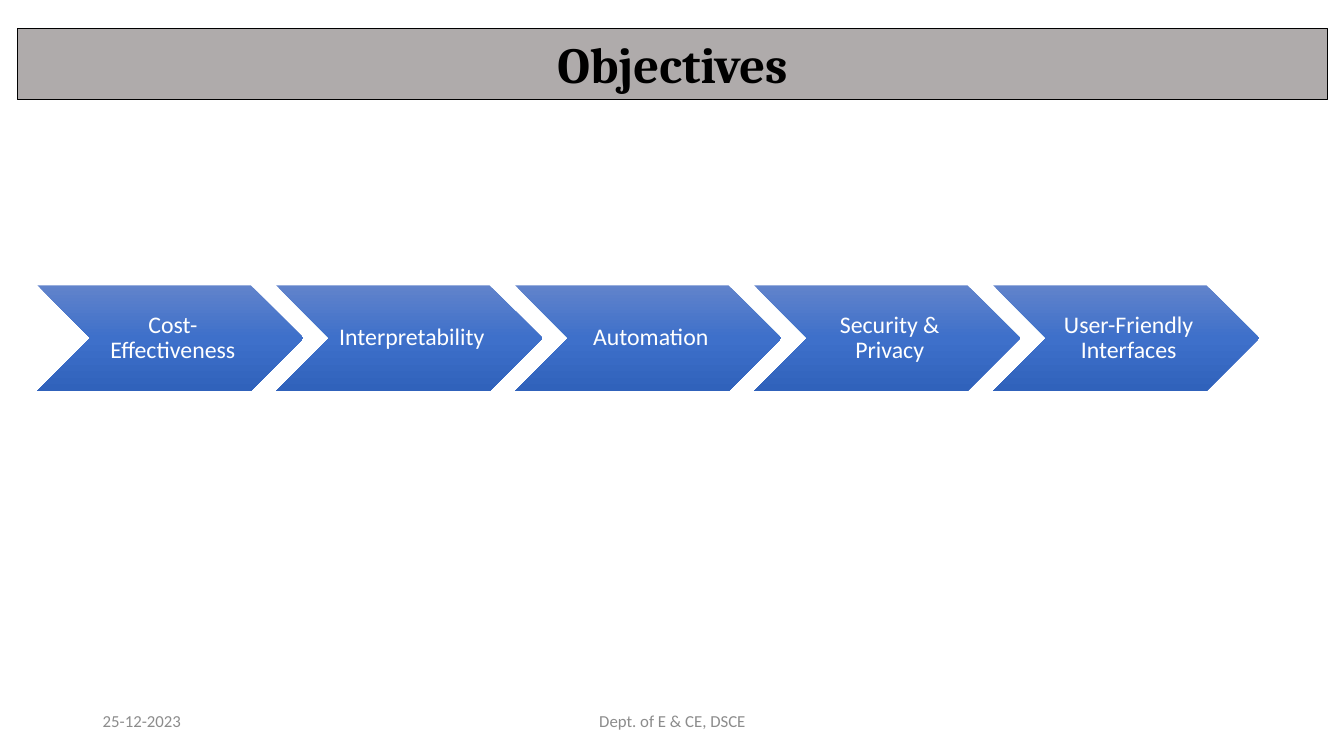
import copy

import pptx
import pptx.dml.color
import pptx.enum.shapes
import pptx.enum.text
import pptx.oxml.ns
import pptx.util

WIDTH, HEIGHT = 13.33, 7.5
COLORS = {
    "band": "AFABAB",
    "ink": "000000",
    "footer": "8C8C8C",
    "label": "FFFFFF",
    "top": "6183CB",
    "middle": "3E70CA",
    "bottom": "3062BB",
}
OBJECTIVES = [
    "Cost-Effectiveness",
    "Interpretability",
    "Automation",
    "Security & Privacy",
    "User-Friendly Interfaces",
]
ROW_LEFT, ROW_TOP = 0.37, 2.83
COLUMN = 2.37
CHEVRON_WIDTH, CHEVRON_HEIGHT = 2.64, 1.05

MSO_SHAPE = pptx.enum.shapes.MSO_SHAPE
ANCHOR = pptx.enum.text.MSO_ANCHOR
ALIGN = pptx.enum.text.PP_ALIGN


def rgb(name):
    return pptx.dml.color.RGBColor.from_string(COLORS[name])


def inches(*lengths):
    return [pptx.util.Inches(length) for length in lengths]


def write(sp, text, size, font, color, align=ALIGN.CENTER, anchor=ANCHOR.MIDDLE, bold=False):
    tf = sp.text_frame
    tf.word_wrap = True
    tf.vertical_anchor = anchor
    p = tf.paragraphs[0]
    p.text = text
    p.alignment = align
    r = p.runs[0]
    r.font.size = pptx.util.Pt(size)
    r.font.name = font
    r.font.bold = bold
    r.font.color.rgb = rgb(color)
    return p


def add_preset(s, preset, left, top, width, height):
    sp = s.shapes.add_shape(preset, *inches(left, top, width, height))
    sp.shadow.inherit = False
    return sp


def add_title(s, text):
    sp = add_preset(s, MSO_SHAPE.RECTANGLE, 0.17, 0.28, 13, 0.71)
    sp.fill.solid()
    sp.fill.fore_color.rgb = rgb("band")
    sp.line.color.rgb = rgb("ink")
    sp.line.width = pptx.util.Pt(0.75)
    write(sp, text, 36, "Cambria", "ink", anchor=ANCHOR.TOP, bold=True)
    sp.text_frame.auto_size = pptx.enum.text.MSO_AUTO_SIZE.SHAPE_TO_FIT_TEXT


def fill_gradient(sp, names):
    sp.fill.gradient()
    sp.fill.gradient_angle = 270
    stop_list = next(sp.element.iter(pptx.oxml.ns.qn("a:gsLst")))
    stop_list.insert(1, copy.deepcopy(stop_list[0]))
    for i, (stop, name) in enumerate(zip(sp.fill.gradient_stops, names)):
        stop.position = i / (len(names) - 1)
        stop.color.rgb = rgb(name)


def add_objective(s, column, text):
    left = ROW_LEFT + column * COLUMN
    sp = add_preset(s, MSO_SHAPE.CHEVRON, left, ROW_TOP, CHEVRON_WIDTH, CHEVRON_HEIGHT)
    fill_gradient(sp, ["top", "middle", "bottom"])
    sp.line.fill.background()
    p = write(sp, text, 17, "Calibri", "label")
    p.line_spacing = 0.9
    tf = sp.text_frame
    tf.margin_left = pptx.util.Inches(0.07)
    tf.margin_right = tf.margin_top = tf.margin_bottom = pptx.util.Inches(0.02)


def add_footer(s, text, left, width, align):
    sp = s.shapes.add_textbox(*inches(left, 6.95, width, 0.4))
    write(sp, text, 12, "Calibri", "footer", align)


def main():
    prs = pptx.Presentation()
    prs.slide_width, prs.slide_height = inches(WIDTH, HEIGHT)
    s = prs.slides.add_slide(prs.slide_layouts[6])
    add_footer(s, "25-12-2023", 0.92, 3, ALIGN.LEFT)
    add_footer(s, "Dept. of E & CE, DSCE", 4.42, 4.5, ALIGN.CENTER)
    add_title(s, "Objectives")
    for column, text in enumerate(OBJECTIVES):
        add_objective(s, column, text)
    prs.save("out.pptx")


if __name__ == "__main__":
    main()
